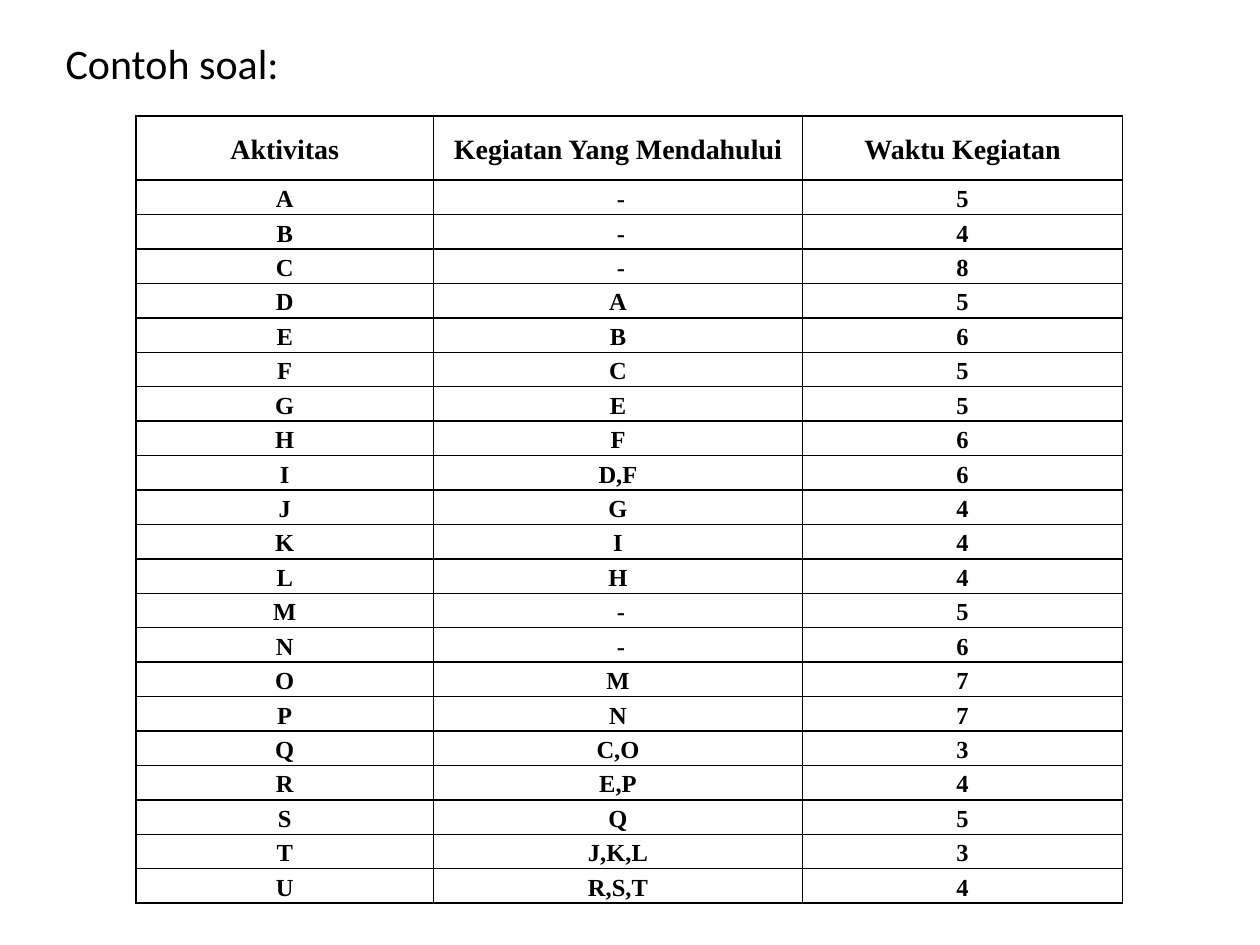
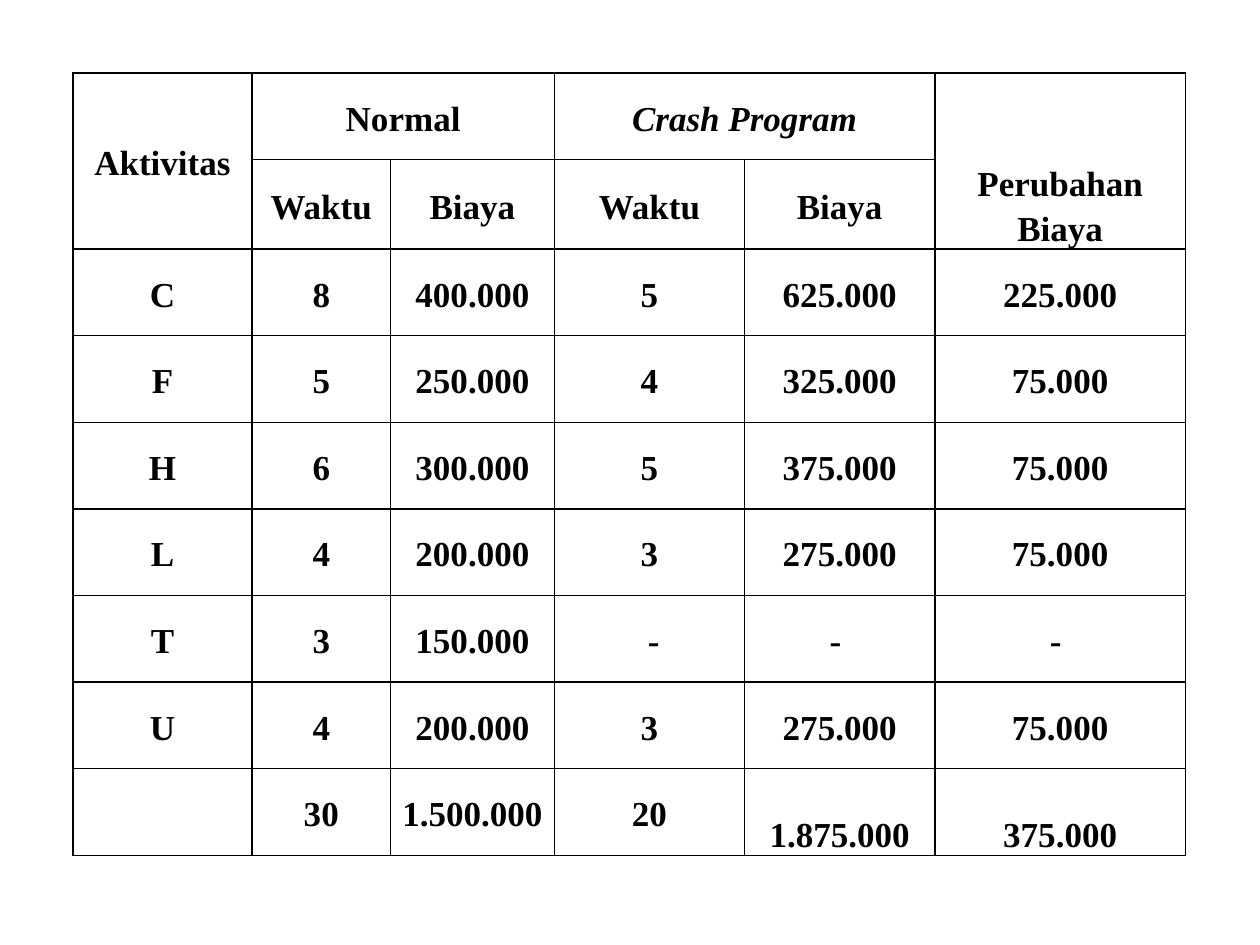
"""Build two slides: a project activity list and its crash-program cost table."""
from dataclasses import dataclass

from lxml.etree import SubElement
from pptx import Presentation
from pptx.dml.color import RGBColor
from pptx.enum.text import MSO_ANCHOR as Anchor, PP_ALIGN as Align
from pptx.oxml.ns import qn
from pptx.util import Inches, Pt

COLORS = {"text": "000000", "border": "000000"}
HEADING_FONT = "Calibri"
TABLE_FONT = "Times New Roman"
NBSP = "\u00a0"
DASH_AFTER = NBSP + "-"
DASH_BEFORE = "-" + NBSP

Position = tuple[int, int]


@dataclass(frozen=True)
class TableSpec:
    left: float
    top: float
    columns: list[float]
    row_heights: list[float]
    rows: list[list[str]]
    header_size: int
    body_size: int
    merges: tuple[tuple[Position, Position], ...] = ()
    bottom_cells: frozenset[Position] = frozenset()
    italic_cells: frozenset[Position] = frozenset()


PREDECESSORS = {
    "A": DASH_AFTER, "B": DASH_AFTER, "C": DASH_AFTER, "D": "A", "E": "B", "F": "C",
    "G": "E", "H": "F", "I": "D,F", "J": "G", "K": "I", "L": "H", "M": DASH_AFTER,
    "N": DASH_AFTER, "O": "M", "P": "N", "Q": "C,O", "R": "E,P", "S": "Q",
    "T": "J,K,L", "U": "R,S,T",
}
DURATIONS = "548565566444567734534"

ACTIVITY_TABLE = TableSpec(
    left=1.08,
    top=0.92,
    columns=[2.36, 2.93, 2.54],
    row_heights=[0.51] + [5.74 / len(PREDECESSORS)] * len(PREDECESSORS),
    rows=[["Aktivitas", "Kegiatan Yang Mendahului", "Waktu Kegiatan"]]
    + [
        [activity, before, duration]
        for (activity, before), duration in zip(PREDECESSORS.items(), DURATIONS)
    ],
    header_size=16,
    body_size=14,
)

COST_TABLE = TableSpec(
    left=0.58,
    top=0.58,
    columns=[1.42, 1.1, 1.3, 1.51, 1.51, 1.99],
    row_heights=[6.19 / 9] * 9,
    rows=[
        ["Aktivitas", "Normal", "", "Crash Program", "", "Perubahan Biaya"],
        ["", "Waktu", "Biaya", "Waktu", "Biaya", ""],
        ["C", "8", "400.000", "5", "625.000", "225.000"],
        ["F", "5", "250.000", "4", "325.000", "75.000"],
        ["H", "6", "300.000", "5", "375.000", "75.000"],
        ["L", "4", "200.000", "3", "275.000", "75.000"],
        ["T", "3", "150.000", DASH_AFTER, DASH_BEFORE, DASH_BEFORE],
        ["U", "4", "200.000", "3", "275.000", "75.000"],
        ["", "30", "1.500.000", "20", "1.875.000", "375.000"],
    ],
    header_size=20,
    body_size=20,
    merges=(((0, 0), (1, 0)), ((0, 1), (0, 2)), ((0, 3), (0, 4)), ((0, 5), (1, 5))),
    bottom_cells=frozenset({(0, 5), (8, 4), (8, 5)}),
    italic_cells=frozenset({(0, 3)}),
)


def format_runs(paragraph, font_name: str, size: int, bold: bool = False,
                italic: bool = False) -> None:
    """Apply one font to every run of a paragraph."""
    for run in paragraph.runs:
        run.font.name = font_name
        run.font.size = Pt(size)
        run.font.bold = bold
        run.font.italic = italic
        run.font.color.rgb = RGBColor.from_string(COLORS["text"])


def add_borders(cell) -> None:
    """Draw a thin line on all four sides of a cell."""
    properties = cell._tc.get_or_add_tcPr()
    for index, side in enumerate(("lnL", "lnR", "lnT", "lnB")):
        line = SubElement(properties, qn(f"a:{side}"), w=str(Pt(1)))
        fill = SubElement(line, qn("a:solidFill"))
        SubElement(fill, qn("a:srgbClr"), val=COLORS["border"])
        properties.insert(index, line)


def format_cell(cell, text: str, size: int, anchor: Anchor, italic: bool) -> None:
    """Fill a cell with centred bold text and give it borders."""
    cell.fill.background()
    add_borders(cell)
    cell.margin_left = cell.margin_right = Inches(0.07)
    cell.margin_top = cell.margin_bottom = 0
    cell.vertical_anchor = anchor
    if text:
        cell.text_frame.text = text
        paragraph = cell.text_frame.paragraphs[0]
        paragraph.alignment = Align.CENTER
        paragraph.line_spacing = 1.15
        format_runs(paragraph, TABLE_FONT, size, bold=True, italic=italic)


def add_grid(slide, spec: TableSpec) -> None:
    """Add the table that a specification describes."""
    table = slide.shapes.add_table(
        len(spec.rows), len(spec.columns), Inches(spec.left), Inches(spec.top),
        Inches(sum(spec.columns)), Inches(sum(spec.row_heights)),
    ).table
    table.first_row = table.horz_banding = False
    for column, width in zip(table.columns, spec.columns):
        column.width = Inches(width)
    for row, height in zip(table.rows, spec.row_heights):
        row.height = Inches(height)
    for row_index, texts in enumerate(spec.rows):
        size = spec.body_size if row_index else spec.header_size
        for column_index, text in enumerate(texts):
            position = (row_index, column_index)
            anchor = Anchor.BOTTOM if position in spec.bottom_cells else Anchor.MIDDLE
            format_cell(table.cell(*position), text, size, anchor,
                        position in spec.italic_cells)
    for first, last in spec.merges:
        table.cell(*first).merge(table.cell(*last))


def add_heading(slide, text: str) -> None:
    """Put the heading in the subtitle placeholder and remove the empty title."""
    title = slide.shapes.title.element
    title.getparent().remove(title)
    heading = slide.placeholders[1]
    heading.left, heading.top = Inches(0.42), Inches(0.25)
    heading.width, heading.height = Inches(8.92), Inches(7)
    heading.text_frame.text = text
    paragraph = heading.text_frame.paragraphs[0]
    paragraph.alignment = Align.JUSTIFY
    format_runs(paragraph, HEADING_FONT, 24)


def main() -> None:
    """Create the presentation and save it."""
    presentation = Presentation()
    presentation.slide_width, presentation.slide_height = Inches(10), Inches(7.5)
    heading_layout, blank_layout = (presentation.slide_layouts[i] for i in (0, 6))

    activity_slide = presentation.slides.add_slide(heading_layout)
    add_heading(activity_slide, "Contoh soal:")
    add_grid(activity_slide, ACTIVITY_TABLE)

    cost_slide = presentation.slides.add_slide(blank_layout)
    add_grid(cost_slide, COST_TABLE)

    presentation.save("out.pptx")


main()
